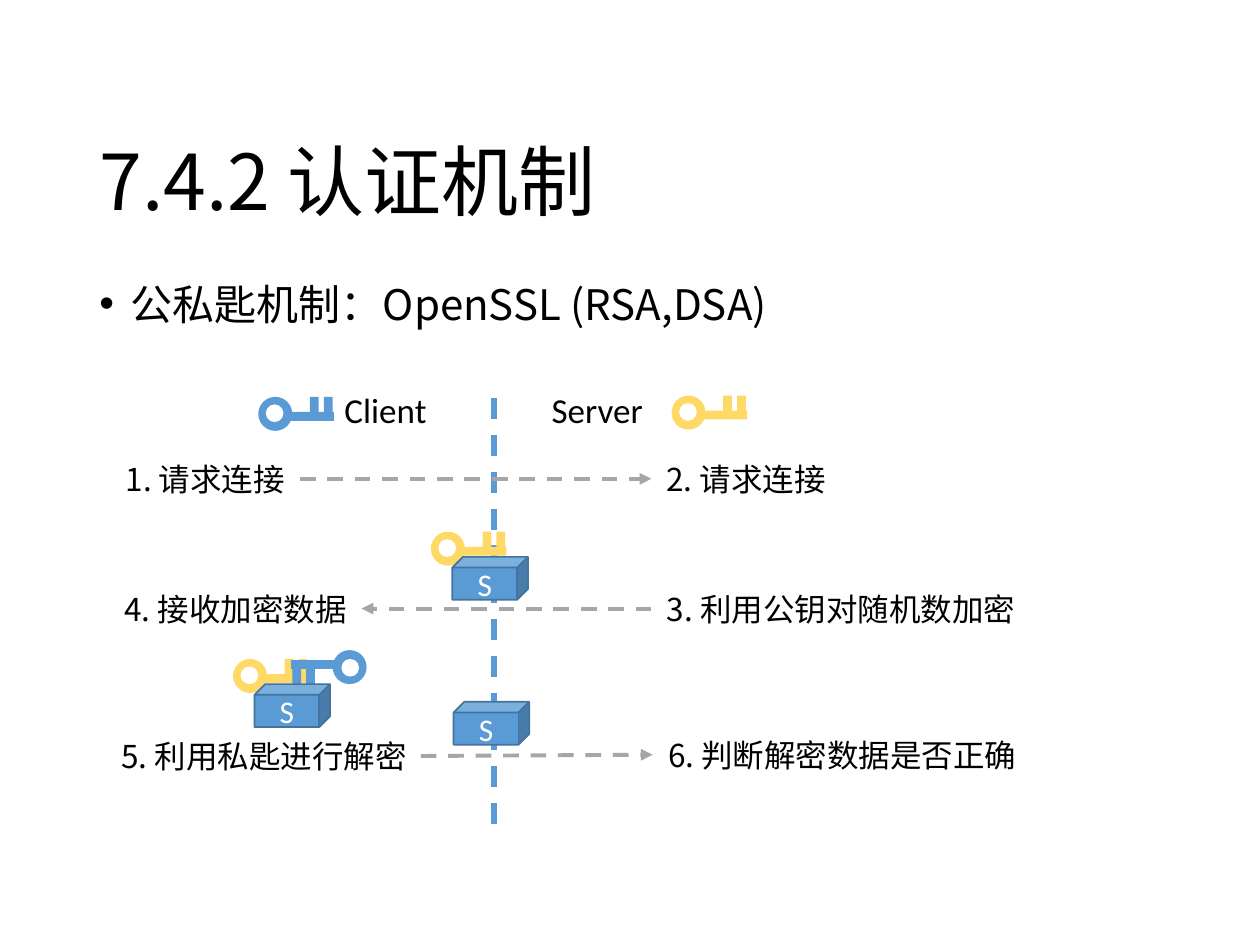
from pptx import Presentation
from pptx.dml.color import RGBColor
from pptx.enum.dml import MSO_LINE
from pptx.enum.shapes import MSO_CONNECTOR, MSO_SHAPE as SHAPE
from pptx.enum.text import MSO_ANCHOR as ANCHOR, PP_ALIGN as ALIGN
from pptx.oxml.ns import qn
from pptx.util import Inches, Pt
from lxml.etree import SubElement

COLORS = {"black": "000000", "white": "FFFFFF", "blue": "5B9BD5",
          "edge": "43739E", "gold": "FFD966", "gray": "A6A6A6"}
CJK = "Noto Sans CJK SC"
LATIN = "Calibri"

# left, top, width, text
STEPS = [
    (0.88, 3.6, 1.5, "1. 请求连接"),
    (5.17, 3.6, 1.5, "2. 请求连接"),
    (5.17, 4.63, 3.01, "3. 利用公钥对随机数加密"),
    (0.87, 4.63, 2, "4. 接收加密数据"),
    (0.84, 5.8, 2.51, "5. 利用私匙进行解密"),
    (5.18, 5.79, 3.01, "6. 判断解密数据是否正确"),
]
ARROWS = [(2.38, 3.8, 5.17, 3.8), (5.17, 4.83, 2.87, 4.83), (3.34, 6, 5.18, 5.99)]
# left, top, color, turned by 180 degrees
KEYS = [(2.05, 3.15, "blue", False), (5.33, 3.14, "gold", False),
        (3.42, 4.22, "gold", False), (1.85, 5.23, "gold", False),
        (2.31, 5.16, "blue", True)]
CUBES = [(3.59, 4.42), (2.02, 5.43), (3.6, 5.57)]

KEY_W, KEY_H = 0.6, 0.27
KEY_PARTS = [
    (SHAPE.OVAL, 0, 0, 0.27, 0.27),
    (SHAPE.RECTANGLE, 0.21, 0.12, 0.39, 0.07),
    (SHAPE.RECTANGLE, 0.41, 0, 0.07, 0.16),
    (SHAPE.RECTANGLE, 0.52, 0, 0.07, 0.16),
    (SHAPE.OVAL, 0.06, 0.06, 0.14, 0.14),
]


def rgb(name):
    return RGBColor.from_string(COLORS[name])


def write(shape, text, size, font=CJK, color="black", align=ALIGN.CENTER,
          anchor=ANCHOR.TOP):
    frame = shape.text_frame
    frame.word_wrap = True
    frame.vertical_anchor = anchor
    para = frame.paragraphs[0]
    para.text = text
    para.alignment = align
    para.font.size = Pt(size)
    para.font.name = font
    para.font.color.rgb = rgb(color)
    props = para.runs[0].font._element
    SubElement(props, qn("a:ea")).set("typeface", font)
    return para


def add_text(slide, box, text, size, **style):
    return write(slide.shapes.add_textbox(*map(Inches, box)), text, size, **style)


def add_solid(slide, kind, box, color):
    shape = slide.shapes.add_shape(kind, *map(Inches, box))
    shape.shadow.inherit = False
    shape.fill.solid()
    shape.fill.fore_color.rgb = rgb(color)
    shape.line.fill.background()
    return shape


def add_dash(slide, ends, color, width, arrow=False):
    link = slide.shapes.add_connector(MSO_CONNECTOR.STRAIGHT, *map(Inches, ends))
    link.line.color.rgb = rgb(color)
    link.line.width = Pt(width)
    link.line.dash_style = MSO_LINE.DASH
    if arrow:
        SubElement(link.line._get_or_add_ln(), qn("a:tailEnd")).set("type", "triangle")
    SubElement(link._element.spPr, qn("a:effectLst"))


def add_key(slide, left, top, color, turned):
    for i, (kind, x, y, w, h) in enumerate(KEY_PARTS):
        if turned:
            x, y = KEY_W - x - w, KEY_H - y - h
        hole = i == len(KEY_PARTS) - 1
        add_solid(slide, kind, (left + x, top + y, w, h), "white" if hole else color)


def add_cube(slide, left, top):
    cube = add_solid(slide, SHAPE.CUBE, (left, top, 0.6, 0.34), "blue")
    cube.line.color.rgb = rgb("edge")
    cube.line.width = Pt(1)
    write(cube, "S", 18, font=LATIN, color="white", anchor=ANCHOR.MIDDLE)


def add_heading(slide, left, top, width):
    title = add_text(slide, (left, top, width, 1.45), "7.4.2 认证机制", 44,
                     align=ALIGN.LEFT, anchor=ANCHOR.BOTTOM)
    title.line_spacing = 0.9
    item = add_text(slide, (left, top + 1.6, width, 0.7),
                    "公私匙机制：OpenSSL (RSA,DSA)", 24, align=ALIGN.LEFT)
    item.line_spacing = 1.4
    props = item._p.get_or_add_pPr()
    props.set("marL", str(Inches(0.25)))
    props.set("indent", str(Inches(-0.25)))
    bullet_font = props.makeelement(qn("a:buFont"), {"typeface": "Arial"})
    bullet = props.makeelement(qn("a:buChar"), {"char": "•"})
    props.find(qn("a:lnSpc")).addnext(bullet_font)
    bullet_font.addnext(bullet)


def add_exchange(slide):
    """Draw the handshake between client and server."""
    for left, name in ((2.33, "Client"), (4.01, "Server")):
        add_text(slide, (left, 2.84, 1.46, 0.82), name, 20, font=LATIN,
                 anchor=ANCHOR.MIDDLE)
    add_dash(slide, (3.92, 3.16, 3.92, 6.59), "blue", 3)
    for left, top, width, text in STEPS:
        add_text(slide, (left, top, width, 0.4), text, 18)
    for ends in ARROWS:
        add_dash(slide, ends, "gray", 2.25, arrow=True)
    for key in KEYS:
        add_key(slide, *key)
    for cube in CUBES:
        add_cube(slide, *cube)


def main():
    deck = Presentation()
    deck.slide_width, deck.slide_height = Inches(10), Inches(7.5)
    slide = deck.slides.add_slide(deck.slide_layouts[6])
    add_heading(slide, 0.69, 0.4, 8.62)
    add_exchange(slide)
    deck.save("out.pptx")


if __name__ == "__main__":
    main()
